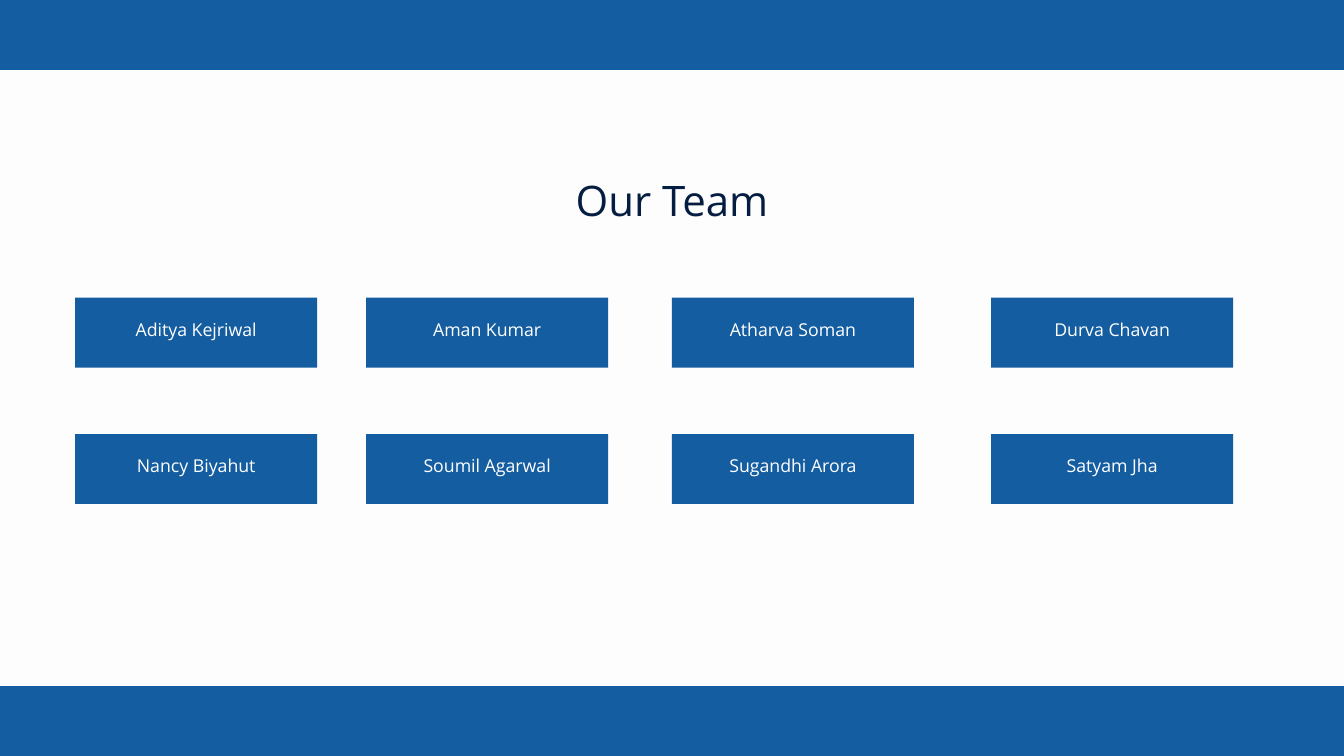
from dataclasses import dataclass

from pptx import Presentation
from pptx import util as u
from pptx.dml.color import RGBColor
from pptx.enum import shapes, text


@dataclass(frozen=True)
class Theme:
    font: str = "Open Sans"
    background: str = "FDFDFD"
    blue: str = "145DA0"
    navy: str = "051D40"
    white: str = "FFFFFF"
    title_size: float = 45
    name_size: float = 19
    leading: float = 1.4


def write(tf, content, *, font, size, color, leading):
    p = tf.paragraphs[0]
    p.alignment = text.PP_ALIGN.CENTER
    p.line_spacing = u.Pt(size * leading)
    r = p.add_run()
    r.text = content
    r.font.name = font
    r.font.size = u.Pt(size)
    r.font.color.rgb = RGBColor.from_string(color)


class Deck:
    def __init__(self, theme, width, height):
        self.theme = theme
        self.prs = Presentation()
        self.prs.slide_width = u.Inches(width)
        self.prs.slide_height = u.Inches(height)
        self.s = None

    def add_slide(self):
        self.s = self.prs.slides.add_slide(self.prs.slide_layouts[6])
        fill = self.s.background.fill
        fill.solid()
        fill.fore_color.rgb = RGBColor.from_string(self.theme.background)

    def block(self, x, y, w, h):
        sp = self.s.shapes.add_shape(
            shapes.MSO_SHAPE.RECTANGLE, *map(u.Inches, (x, y, w, h)))
        sp.shadow.inherit = False
        sp.fill.solid()
        sp.fill.fore_color.rgb = RGBColor.from_string(self.theme.blue)
        sp.line.fill.background()

    def label(self, x, y, w, h, content, *, size, color, inset=0,
              anchor=text.MSO_ANCHOR.TOP):
        tf = self.s.shapes.add_textbox(*map(u.Inches, (x, y, w, h))).text_frame
        tf.word_wrap = True
        tf.vertical_anchor = anchor
        tf.margin_left = tf.margin_right = u.Inches(inset)
        tf.margin_top = tf.margin_bottom = u.Inches(inset)
        write(tf, content, font=self.theme.font, size=size, color=color,
              leading=self.theme.leading)

    def title(self, x, y, w, h, content):
        self.label(x, y, w, h, content,
                   size=self.theme.title_size, color=self.theme.navy)

    def name_card(self, x, y, w, h, name):
        rise = 0.15
        self.block(x, y, w, h)
        self.label(x, y - rise, w, h + rise, name, size=self.theme.name_size,
                   color=self.theme.white, inset=0.06,
                   anchor=text.MSO_ANCHOR.MIDDLE)


def main():
    width, height, band = 20, 11.25, 1.04
    columns = (1.12, 5.45, 10, 14.75)
    first_row, row_step = 4.43, 2.03
    team = (
        ("Aditya Kejriwal", "Aman Kumar", "Atharva Soman", "Durva Chavan"),
        ("Nancy Biyahut", "Soumil Agarwal", "Sugandhi Arora", "Satyam Jha"),
    )

    deck = Deck(Theme(), width, height)
    deck.add_slide()
    deck.title(6.02, 2.48, 7.96, 0.84, "Our Team")
    for y in (height - band, 0):
        deck.block(0, y, width, band)
    for row, names in enumerate(team):
        for x, name in zip(columns, names):
            deck.name_card(x, first_row + row * row_step, 3.6, band, name)
    deck.prs.save("out.pptx")


if __name__ == "__main__":
    main()
